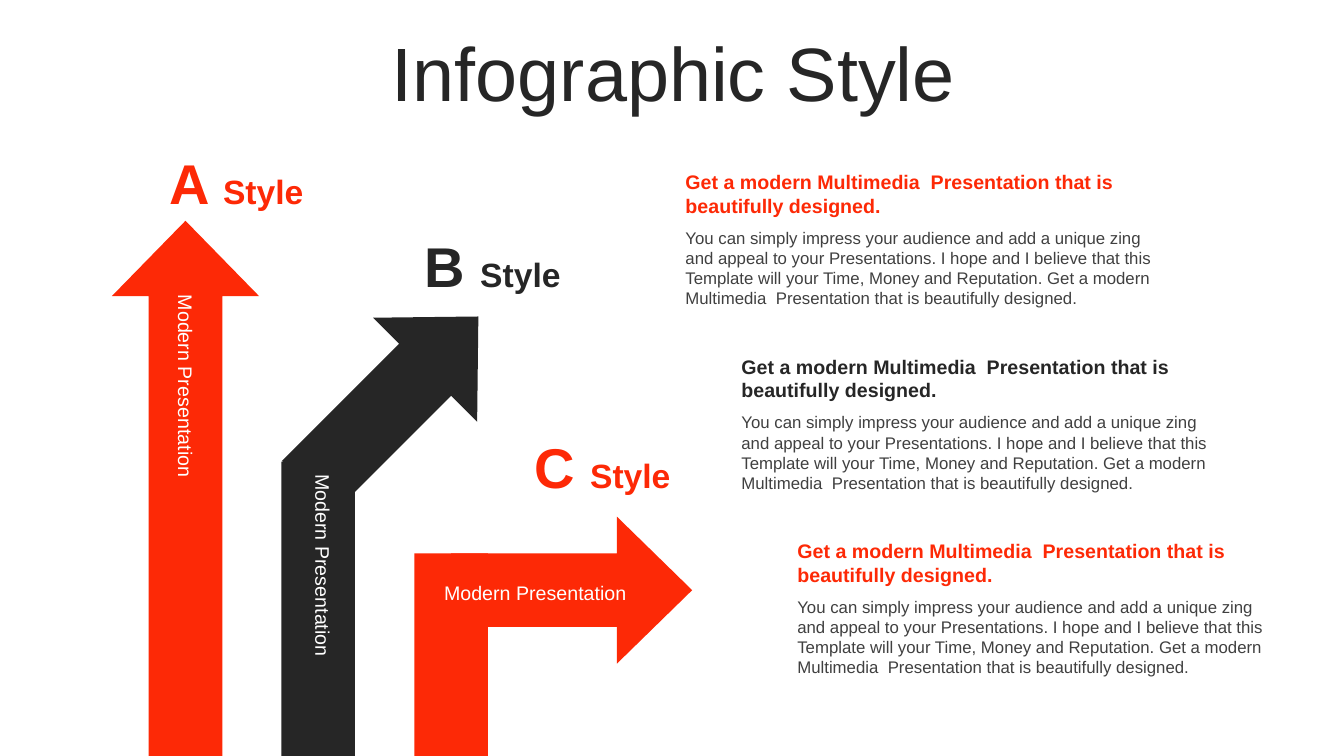
from pptx import Presentation
from pptx.dml.color import RGBColor
from pptx.enum.shapes import MSO_SHAPE
from pptx.enum.text import MSO_ANCHOR, MSO_AUTO_SIZE, PP_ALIGN
from pptx.util import Inches, Pt

RED = RGBColor(0xFD, 0x29, 0x06)
DARK = RGBColor(0x26, 0x26, 0x26)
GREY = RGBColor(0x40, 0x40, 0x40)
WHITE = RGBColor(0xFF, 0xFF, 0xFF)

SHAFT = 0.73
HEAD = 2 * SHAFT
HEADING = "Get a modern Multimedia  Presentation that is beautifully designed."
BODY = (
    "You can simply impress your audience and add a unique zing and appeal "
    "to your Presentations. I hope and I believe that this Template will "
    "your Time, Money and Reputation. " + HEADING
)


class Infographic:
    font_name = "Arial"

    def __init__(self, page):
        self.page = page

    def block(self, kind, left, top, width, height, color, rotation=0):
        shape = self.page.shapes.add_shape(
            kind, Inches(left), Inches(top), Inches(width), Inches(height))
        shape.shadow.inherit = False
        shape.fill.solid()
        shape.fill.fore_color.rgb = color
        shape.line.fill.background()
        shape.rotation = rotation
        return shape

    def arrow(self, left, top, height, color, rotation=0):
        shape = self.block(MSO_SHAPE.UP_ARROW, left, top, HEAD, height, color, rotation)
        shape.adjustments[0] = 0.5
        shape.adjustments[1] = 0.512

    def stem(self, left, top, color):
        self.block(MSO_SHAPE.RECTANGLE, left, top, SHAFT, 7.5 - top, color)

    def text(self, left, top, width, height, spans, color, bold=False,
             align=PP_ALIGN.LEFT, anchor=MSO_ANCHOR.TOP, rotation=0, grow=True):
        """Add one paragraph made of (words, size) spans."""
        box = self.page.shapes.add_textbox(
            Inches(left), Inches(top), Inches(width), Inches(height))
        box.rotation = rotation
        frame = box.text_frame
        frame.word_wrap = True
        frame.auto_size = MSO_AUTO_SIZE.SHAPE_TO_FIT_TEXT if grow else MSO_AUTO_SIZE.NONE
        frame.vertical_anchor = anchor
        para = frame.paragraphs[0]
        para.alignment = align
        for words, size in spans:
            span = para.add_run()
            span.text = words
            span.font.name = self.font_name
            span.font.size = Pt(size)
            span.font.bold = bold
            span.font.color.rgb = color
        return para

    def style_label(self, left, top, letter, color):
        self.text(left, top, 1.57, 0.77, [(letter + " ", 40), ("Style", 24)],
                  color, bold=True, anchor=MSO_ANCHOR.BOTTOM)

    def arrow_label(self, left, top, rotation=0):
        self.text(left, top, 2.4, 0.34, [("Modern Presentation", 14)], WHITE,
                  align=PP_ALIGN.CENTER, rotation=rotation)

    def description(self, left, top, color):
        self.text(left, top + 0.57, 4.99, 0.91, [(BODY, 12)], GREY)
        self.text(left, top, 4.99, 0.57, [(HEADING, 14)], color, bold=True)


def main():
    deck = Presentation()
    deck.slide_width, deck.slide_height = Inches(13.33), Inches(7.5)
    art = Infographic(deck.slides.add_slide(deck.slide_layouts[6]))

    # Title
    title = art.text(0.35, 0.37, 12.66, 0.79, [("Infographic Style", 54)], DARK,
                     align=PP_ALIGN.CENTER, anchor=MSO_ANCHOR.MIDDLE, grow=False)
    title.line_spacing = 0.9

    # Straight, diagonal and right-hand arrows
    art.arrow(1.11, 2.19, 5.31, RED)
    art.arrow(3.17, 2.79, 2.39, DARK, 45)
    art.stem(2.79, 4.58, DARK)
    art.stem(4.11, 5.49, RED)
    art.arrow(4.94, 4.66, 2.39, RED, 90)

    # Labels at the heads of the arrows
    art.style_label(1.58, 1.42, "A", RED)
    art.style_label(4.11, 2.24, "B", DARK)
    art.style_label(5.2, 4.24, "C", RED)

    # Labels inside the arrows
    art.arrow_label(0.64, 3.66, 90)
    art.arrow_label(2, 5.44, 90)
    art.arrow_label(4.11, 5.71)

    # Descriptions, stepping down to the right
    for step, color in enumerate((RED, DARK, RED)):
        art.description(6.7 + 0.555 * step, 1.64 + 1.83 * step, color)

    deck.save("out.pptx")


if __name__ == "__main__":
    main()
